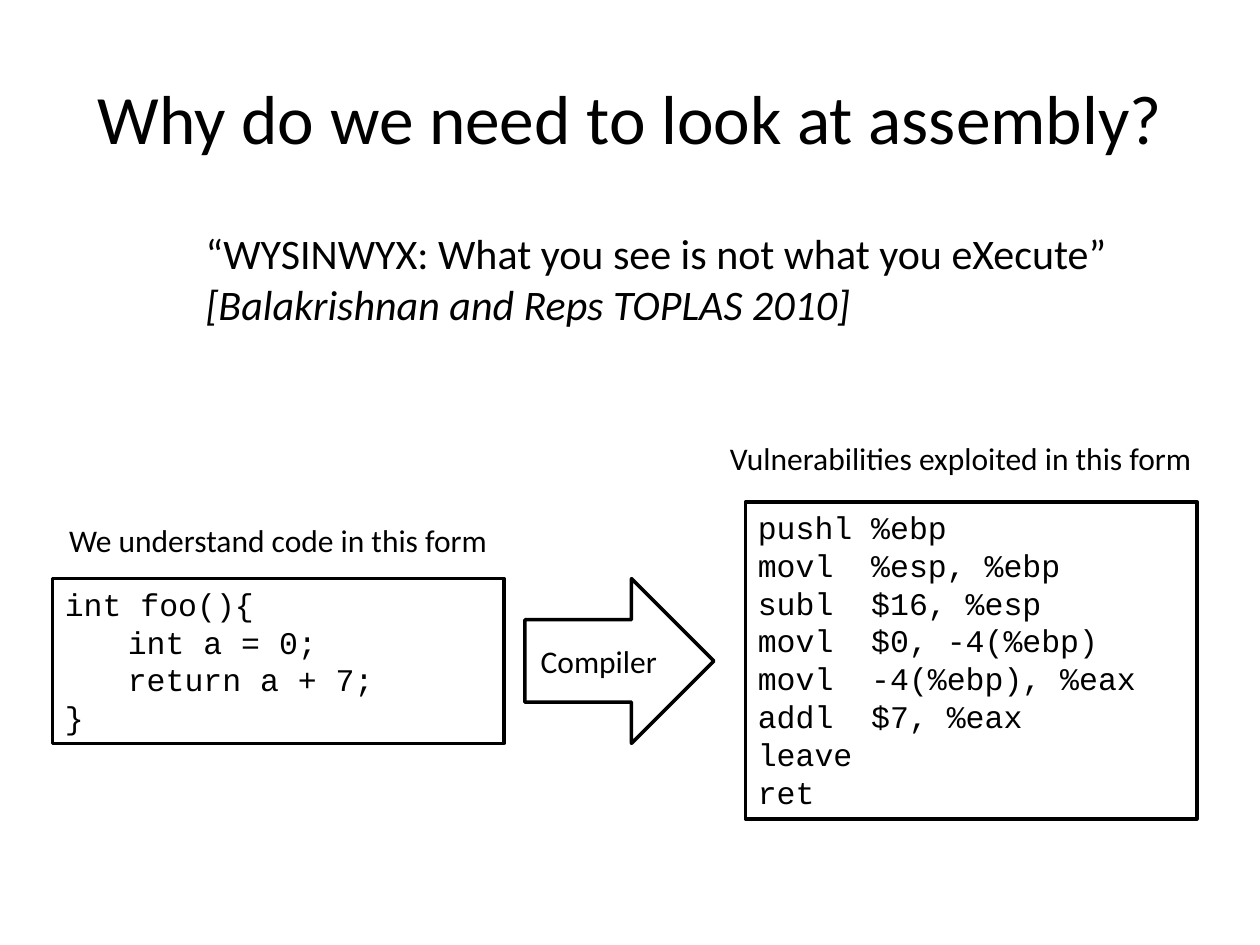
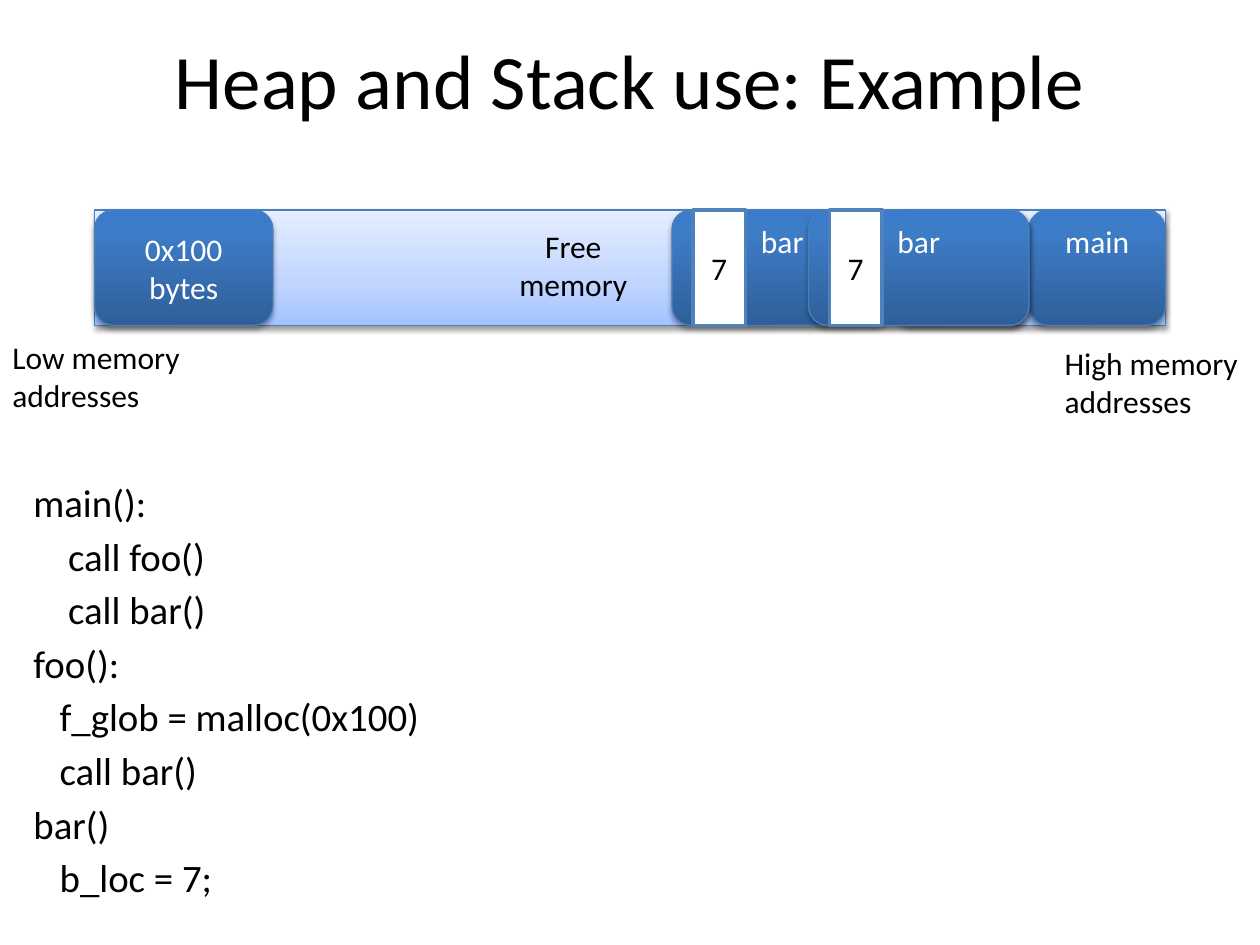
from lxml import etree
from pptx import Presentation
from pptx import util as u
from pptx.dml.color import RGBColor
from pptx.enum import shapes, text
from pptx.oxml.ns import qn

PX = 7620
SLIDE_W, SLIDE_H = 1200, 900
TITLE_ONLY = 5

COLORS = {
    "ink": "000000",
    "paper": "FFFFFF",
    "frame_edge": "4B7EBC",
    "local_edge": "4F81BD",
}
GRADIENTS = {
    "free": [(0, "A4C4FF"), (35, "BFD4FF"), (100, "E6EEFF")],
    "used": [(0, "2F5F99"), (80, "3D7CC7"), (100, "3A7CCB")],
}
SHADOWS = {"free": (38, 1.6), "used": (35, 1.8)}

LEFT, CENTER = text.PP_ALIGN.LEFT, text.PP_ALIGN.CENTER
TOP, MIDDLE = text.MSO_ANCHOR.TOP, text.MSO_ANCHOR.MIDDLE
GROW = text.MSO_AUTO_SIZE.SHAPE_TO_FIT_TEXT
FIXED = text.MSO_AUTO_SIZE.NONE
RECT = shapes.MSO_SHAPE.RECTANGLE
ROUND = shapes.MSO_SHAPE.ROUNDED_RECTANGLE
ARROW = shapes.MSO_SHAPE.RIGHT_ARROW

SANS = {"name": "Calibri", "size": u.Pt(18)}
CODE = {"name": "Courier New", "size": u.Pt(18)}
FREE_FLOW = {"word_wrap": False, "auto_size": GROW}
CENTERED = {"vertical_anchor": MIDDLE, "auto_size": FIXED}


def emu(*lengths):
    return [u.Emu(length * PX) for length in lengths]


def within(box, left, top, width, height):
    return box[0] + left, box[1] + top, width, height


def apply(target, values):
    for name, value in values.items():
        setattr(target, name, value)


def write(holder, lines, font=SANS, color="ink", align=LEFT, frame=None, indents=None, before=None):
    body = holder.text_frame
    apply(body, {"word_wrap": True, "vertical_anchor": TOP, "auto_size": FIXED, **(frame or {})})
    body.text = "\n".join(lines)
    for index, paragraph in enumerate(body.paragraphs):
        paragraph.alignment = align
        if before is not None:
            paragraph.space_before = before
        if indents and indents[index]:
            paragraph._p.get_or_add_pPr().set("marL", str(indents[index] * PX))
        for run in paragraph.runs:
            apply(run.font, font)
            run.font.color.rgb = RGBColor.from_string(COLORS[color])
    return body


def add_title(slide, wording, box, size):
    title = slide.shapes.title
    apply(title, dict(zip(("left", "top", "width", "height"), emu(*box))))
    write(title, [wording], {"name": "Calibri", "size": u.Pt(size)}, align=CENTER, frame=CENTERED)


def add_label(slide, lines, box, **style):
    return write(slide.shapes.add_textbox(*emu(*box)), lines, **style)


def add_panel(slide, kind, box, edge="ink", weight=2):
    panel = slide.shapes.add_shape(kind, *emu(*box))
    panel.shadow.inherit = False
    panel.fill.solid()
    panel.fill.fore_color.rgb = RGBColor.from_string(COLORS["paper"])
    panel.line.color.rgb = RGBColor.from_string(COLORS[edge])
    panel.line.width = u.Pt(weight)
    return panel


def add_color(parent, value):
    return etree.SubElement(parent, qn("a:srgbClr"), val=value)


def add_memory_block(slide, kind, box, state):
    block = add_panel(slide, kind, box, "frame_edge", 0.75)
    properties = block._element.spPr
    gradient = etree.Element(qn("a:gradFill"), rotWithShape="1")
    stops = etree.SubElement(gradient, qn("a:gsLst"))
    for position, value in GRADIENTS[state]:
        add_color(etree.SubElement(stops, qn("a:gs"), pos=str(position * 1000)), value)
    etree.SubElement(gradient, qn("a:lin"), ang="16200000", scaled="0")
    properties.replace(properties.find(qn("a:solidFill")), gradient)

    opacity, distance = SHADOWS[state]
    shadow = etree.SubElement(
        properties.find(qn("a:effectLst")), qn("a:outerShdw"), rotWithShape="0",
        blurRad=str(u.Pt(3.1)), dist=str(u.Pt(distance)), dir="5400000")
    etree.SubElement(add_color(shadow, COLORS["ink"]), qn("a:alpha"), val=str(opacity * 1000))
    return block


def add_compilation(slide, box):
    source_code = ["int foo(){\v\tint a = 0;", "\treturn a + 7;", "}"]
    assembly = ["pushl %ebp", "movl  %esp, %ebp", "subl  $16, %esp", "movl  $0, -4(%ebp)",
                "movl  -4(%ebp), %eax", "addl  $7, %eax", "leave", "ret"]
    forms = [
        ("We understand code in this form", (0, 78, 430, 48), source_code, (0, 139, 430, 157)),
        ("Vulnerabilities exploited in this form", (610, 0, 510, 48), assembly, (660, 66, 430, 302)),
    ]
    for caption, caption_box, lines, code_box in forms:
        add_label(slide, [caption], within(box, *caption_box), align=CENTER, frame={"auto_size": GROW})
        listing = add_panel(slide, RECT, within(box, *code_box))
        write(listing, lines, CODE, frame={"auto_size": GROW})
    compiler = add_panel(slide, ARROW, within(box, 450, 139, 180, 157))
    write(compiler, ["Compiler"], align=CENTER, frame=CENTERED)


def add_stack_frame(slide, box, caption):
    frame = add_memory_block(slide, ROUND, box, "used")
    write(frame, [caption], color="paper", align=CENTER)
    local = add_panel(slide, RECT, within(box, 20, 0, 50, box[3]), "local_edge")
    write(local, ["7"], align=CENTER, frame=CENTERED)


def add_memory(slide, box):
    width, height = box[2:]
    add_memory_block(slide, RECT, box, "free")
    add_label(slide, ["Free", "memory"], within(box, 392, 10, 128, 85), align=CENTER, frame=FREE_FLOW)
    add_label(slide, ["High memory", "addresses"], within(box, 912, 122, 198, 85), frame=FREE_FLOW)
    add_label(slide, ["Low memory", "addresses"], within(box, -90, 116, 192, 85), frame=FREE_FLOW)

    main_frame = add_memory_block(slide, ROUND, within(box, width - 130, 0, 130, height), "used")
    write(main_frame, ["main"], color="paper", align=CENTER)
    add_memory_block(slide, ROUND, within(box, width - 260, 0, 130, height), "used")
    add_stack_frame(slide, within(box, 550, 0, 210, height), "bar")
    heap = add_memory_block(slide, ROUND, within(box, 0, 0, 170, height), "used")
    write(heap, ["0x100 bytes"], color="paper", align=CENTER, frame=CENTERED)
    add_stack_frame(slide, within(box, 680, 0, 210, height), "bar")


def add_program(slide, box):
    steps = [("main():", 0), ("call foo()", 33), ("call bar()", 33),
             ("foo():", 0), ("f_glob = malloc(0x100)", 25), ("call bar()", 25),
             ("bar()", 0), ("b_loc = 7;", 25)]
    lines, indents = zip(*steps)
    add_label(slide, lines, box, font={"name": "Calibri", "size": u.Pt(22.2)},
              indents=indents, before=u.Pt(4))


def build_assembly_slide(slide):
    add_title(slide, "Why do we need to look at assembly?", (60, 36, 1080, 150), 39.6)
    add_compilation(slide, (50, 412, 1120, 368))
    quote = add_label(
        slide,
        ["“WYSINWYX: What you see is not what you eXecute”", "[Balakrishnan and Reps TOPLAS 2010]"],
        (184, 211, 889, 109), font={"name": "Calibri", "size": u.Pt(24)}, frame=FREE_FLOW)
    quote.paragraphs[1].runs[0].font.italic = True


def build_memory_slide(slide):
    add_title(slide, "Heap and Stack use: Example", (60, 0, 1080, 150), 44)
    add_program(slide, (20, 450, 1060, 410))
    add_memory(slide, (90, 200, 1020, 110))


def main():
    deck = Presentation()
    deck.slide_width, deck.slide_height = emu(SLIDE_W, SLIDE_H)
    for build in (build_assembly_slide, build_memory_slide):
        build(deck.slides.add_slide(deck.slide_layouts[TITLE_ONLY]))
    deck.save("out.pptx")


if __name__ == "__main__":
    main()
